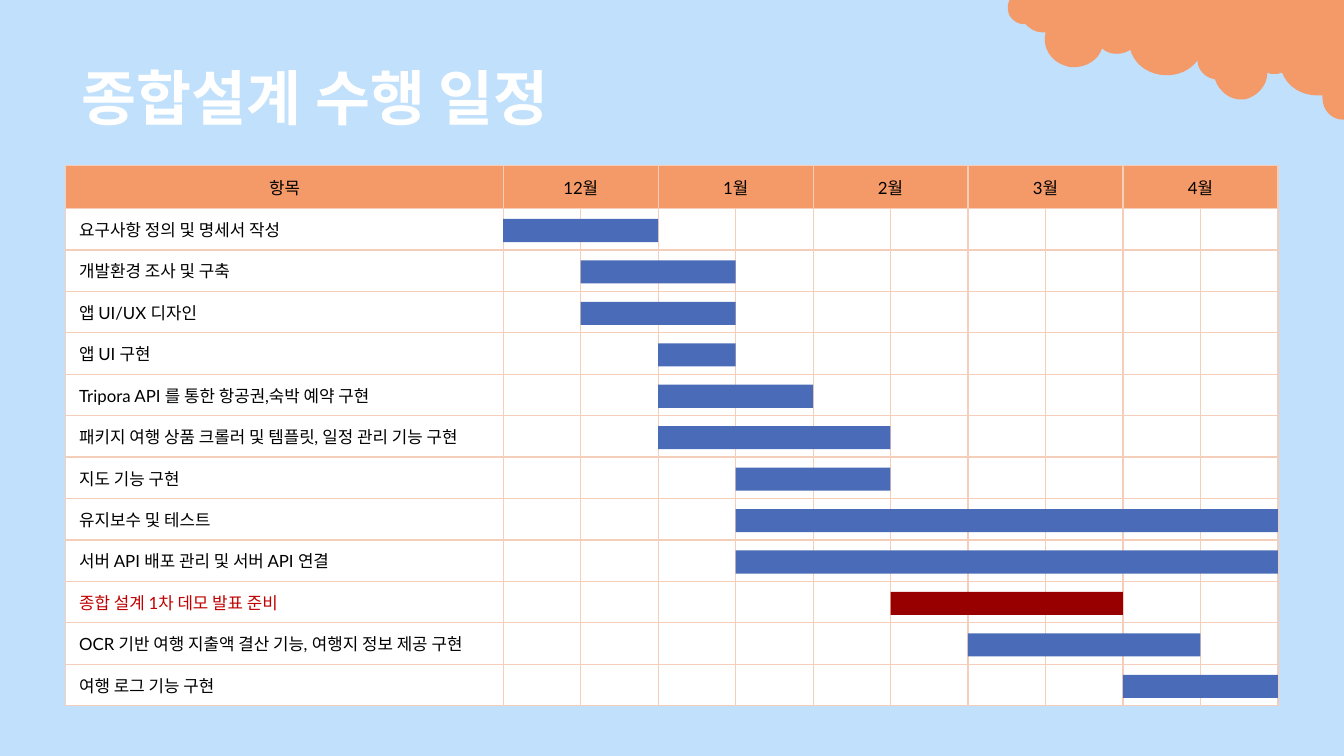
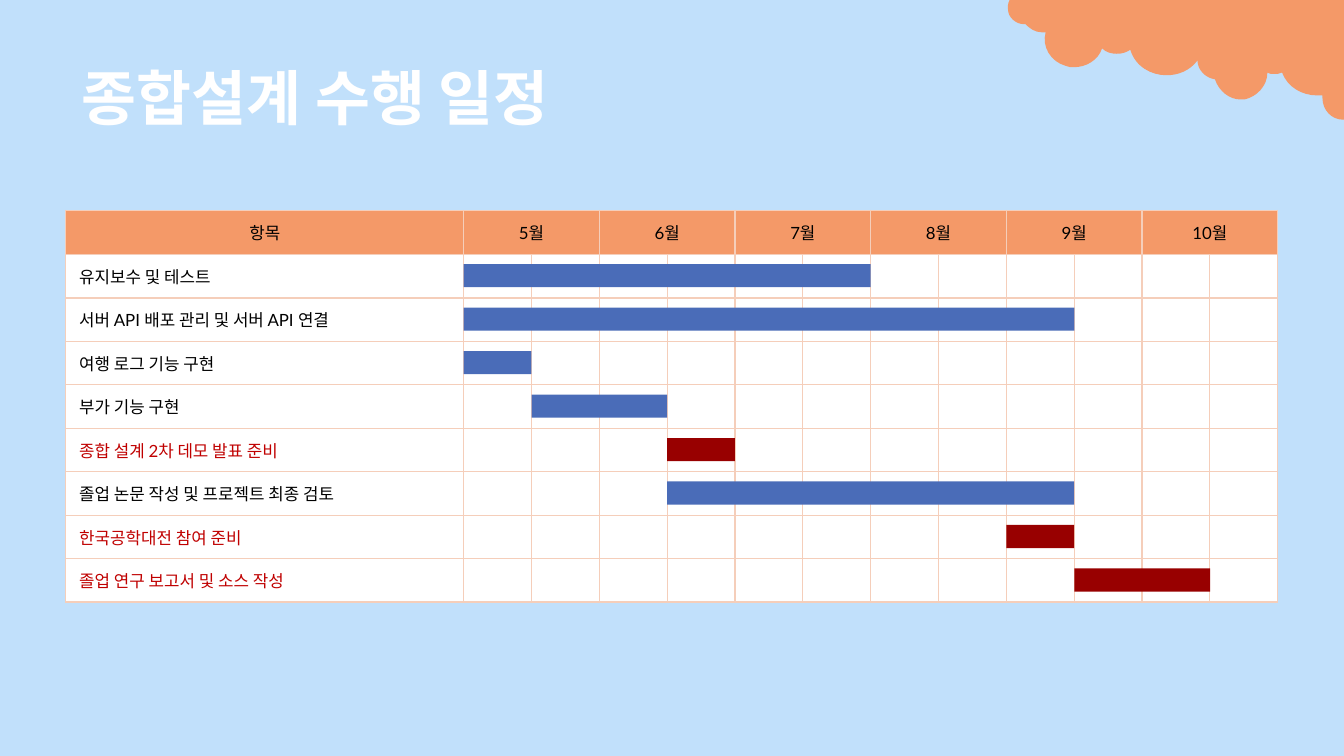
from lxml import etree
from pptx import Presentation
from pptx import util as u
from pptx.dml.color import RGBColor
from pptx.enum import shapes, text
from pptx.oxml.ns import qn

COLORS = {
    "sky": "C1E0FB", "cloud": "F49968", "grid": "F5CEBA", "white": "FFFFFF",
    "ink": "000000", "alert": "C00000", "task": "4A6CB8", "milestone": "980000",
}
FONT = "Lato"
CHART_LEFT, CHART_WIDTH = 35.2, 649.4
BAR_HEIGHT = 12.4
TABLE_SIZE = 9

# Cloud outline in hundredths of an inch: a start, then Bezier curves
# (two controls and an end) and straight segments (an end only)
CLOUD = [
    (999, 89),
    (991, 89, 984, 82, 984, 73), (984, 73, 984, 72, 984, 71),
    (983, 71, 981, 71, 980, 71), (969, 71, 958, 65, 954, 54),
    (952, 55, 950, 55, 948, 55), (946, 55, 944, 55, 943, 54),
    (943, 64, 935, 72, 926, 74), (925, 74, 924, 74, 923, 74),
    (915, 74, 907, 68, 904, 59), (897, 58, 891, 52, 891, 45),
    (885, 53, 876, 56, 868, 56), (857, 56, 845, 50, 841, 37),
    (838, 39, 835, 40, 831, 40), (827, 40, 823, 39, 820, 36),
    (817, 45, 808, 50, 799, 50), (797, 50, 795, 50, 793, 49),
    (782, 46, 775, 35, 778, 24), (777, 24, 776, 24, 775, 24),
    (770, 24, 766, 21, 763, 18), (763, 18, 762, 18, 762, 18),
    (756, 18, 750, 13, 750, 7), (749, 0, 754, -5, 760, -6),
    (1015, -6), (1015, 70), (1014, 70),
    (1015, 71, 1015, 72, 1015, 73), (1015, 82, 1008, 89, 999, 89),
]

# Tasks: label, first half-month, number of half-months, milestone or not
WINTER = {
    "top": 88.7, "half_month": 41.5, "header": 23.0, "row": 22.2, "bar_drop": 0.7,
    "months": ["12월", "1월", "2월", "3월", "4월"],
    "tasks": [
        ("요구사항 정의 및 명세서 작성", 0, 2, False),
        ("개발환경 조사 및 구축", 1, 2, False),
        ("앱 UI/UX 디자인", 1, 2, False),
        ("앱 UI 구현", 2, 1, False),
        ("Tripora API 를 통한 항공권,숙박 예약 구현", 2, 2, False),
        ("패키지 여행 상품 크롤러 및 템플릿, 일정 관리 기능 구현", 2, 3, False),
        ("지도 기능 구현", 3, 2, False),
        ("유지보수 및 테스트", 3, 7, False),
        ("서버 API 배포 관리 및 서버 API 연결", 3, 7, False),
        ("종합 설계 1차 데모 발표 준비", 5, 3, True),
        ("OCR 기반 여행 지출액 결산 기능, 여행지 정보 제공 구현", 6, 3, False),
        ("여행 로그 기능 구현", 8, 2, False),
    ],
}
SUMMER = {
    "top": 112.6, "half_month": 36.35, "header": 23.8, "row": 23.3, "bar_drop": -0.4,
    "months": ["5월", "6월", "7월", "8월", "9월", "10월"],
    "tasks": [
        ("유지보수 및 테스트", 0, 6, False),
        ("서버 API 배포 관리 및 서버 API 연결", 0, 9, False),
        ("여행 로그 기능 구현", 0, 1, False),
        ("부가 기능 구현", 1, 2, False),
        ("종합 설계 2차 데모 발표 준비", 3, 1, True),
        ("졸업 논문 작성 및 프로젝트 최종 검토", 3, 6, False),
        ("한국공학대전 참여 준비", 8, 1, True),
        ("졸업 연구 보고서 및 소스 작성", 9, 2, True),
    ],
}


def rgb(name):
    return RGBColor.from_string(COLORS[name])


def paint(shape, color):
    shape.shadow.inherit = False
    shape.fill.solid()
    shape.fill.fore_color.rgb = rgb(color)
    shape.line.fill.background()


def add_run(paragraph, words, size, color, bold=False):
    run = paragraph.add_run()
    run.text = words
    run.font.name = FONT
    run.font.size = u.Pt(size)
    run.font.bold = bold
    run.font.color.rgb = rgb(color)


def add_title(slide, words):
    title = slide.shapes.add_textbox(u.Pt(36.7), u.Pt(25.2), u.Pt(297.4), u.Pt(45.4))
    frame = title.text_frame
    frame.word_wrap = True
    frame.vertical_anchor = text.MSO_ANCHOR.TOP
    frame.margin_left = frame.margin_right = u.Pt(7.2)
    frame.margin_top = frame.margin_bottom = u.Pt(7.2)
    add_run(frame.paragraphs[0], words, 32, "white", bold=True)


def add_cloud(slide):
    outline = [tuple(u.Pt(value * 0.72) for value in part) for part in CLOUD]
    builder = slide.shapes.build_freeform(*outline[0])
    builder.add_line_segments([part[-2:] for part in outline[1:]], close=True)
    cloud = builder.convert_to_shape()
    paint(cloud, "cloud")
    # Bend the segments that have control points
    segments = list(cloud._element.iter(qn("a:lnTo")))
    for segment, part in zip(segments, outline[1:]):
        if len(part) == 6:
            segment.tag = qn("a:cubicBezTo")
            for index in (0, 1):
                control = etree.Element(
                    qn("a:pt"), x=str(part[2 * index] - cloud.left),
                    y=str(part[2 * index + 1] - cloud.top))
                segment.insert(index, control)


def style_cell(cell, fill):
    cell.vertical_anchor = text.MSO_ANCHOR.MIDDLE
    cell.margin_left = cell.margin_right = u.Pt(3.6)
    cell.margin_top = cell.margin_bottom = u.Pt(3.6)
    # Borders come before the fill in the cell properties
    properties = cell._tc.get_or_add_tcPr()
    for side in ("a:lnL", "a:lnR", "a:lnT", "a:lnB"):
        border = etree.SubElement(properties, qn(side), w=str(u.Pt(0.75)))
        solid = etree.SubElement(border, qn("a:solidFill"))
        etree.SubElement(solid, qn("a:srgbClr"), val=COLORS["grid"])
    cell.fill.solid()
    cell.fill.fore_color.rgb = rgb(fill)
    # Empty cells need the small text size too, or they stretch the row
    paragraph = cell.text_frame.paragraphs[0]
    etree.SubElement(paragraph._p, qn("a:endParaRPr"), sz=str(TABLE_SIZE * 100))


def add_header(cell, words):
    paragraph = cell.text_frame.paragraphs[0]
    paragraph.alignment = text.PP_ALIGN.CENTER
    add_run(paragraph, words, TABLE_SIZE, "ink")


def add_schedule(slide, plan):
    tasks, months = plan["tasks"], plan["months"]
    halves = 2 * len(months)
    label_width = CHART_WIDTH - halves * plan["half_month"]
    height = plan["header"] + len(tasks) * plan["row"]
    grid = slide.shapes.add_table(
        len(tasks) + 1, halves + 1, u.Pt(CHART_LEFT), u.Pt(plan["top"]),
        u.Pt(CHART_WIDTH), u.Pt(height)).table
    grid.horz_banding = False

    for index, column in enumerate(grid.columns):
        column.width = u.Pt(plan["half_month"] if index else label_width)
    for index, row in enumerate(grid.rows):
        row.height = u.Pt(plan["row"] if index else plan["header"])
        for cell in row.cells:
            style_cell(cell, "white" if index else "cloud")

    # Header row: each month covers two halves
    add_header(grid.cell(0, 0), "항목")
    for index, month in enumerate(months):
        first = grid.cell(0, 2 * index + 1)
        first.merge(grid.cell(0, 2 * index + 2))
        add_header(first, month)

    # Task labels
    for index, (label, _, _, milestone) in enumerate(tasks, start=1):
        cell = grid.cell(index, 0)
        cell.margin_left = u.Pt(7.2)
        add_run(cell.text_frame.paragraphs[0], label, TABLE_SIZE,
                "alert" if milestone else "ink")

    # Bars, near the middle of their rows
    first_bar = (plan["top"] + plan["header"] + plan["bar_drop"]
                 + (plan["row"] - BAR_HEIGHT) / 2)
    for index, (_, start, length, milestone) in enumerate(tasks):
        bar = slide.shapes.add_shape(
            shapes.MSO_SHAPE.RECTANGLE,
            u.Pt(CHART_LEFT + label_width + start * plan["half_month"]),
            u.Pt(first_bar + index * plan["row"]),
            u.Pt(length * plan["half_month"]), u.Pt(BAR_HEIGHT))
        paint(bar, "milestone" if milestone else "task")


def main():
    deck = Presentation()
    deck.slide_width, deck.slide_height = u.Pt(720), u.Pt(405)
    for plan in (WINTER, SUMMER):
        slide = deck.slides.add_slide(deck.slide_layouts[6])
        slide.background.fill.solid()
        slide.background.fill.fore_color.rgb = rgb("sky")
        add_title(slide, "종합설계 수행 일정")
        add_cloud(slide)
        add_schedule(slide, plan)
    deck.save("out.pptx")


if __name__ == "__main__":
    main()
